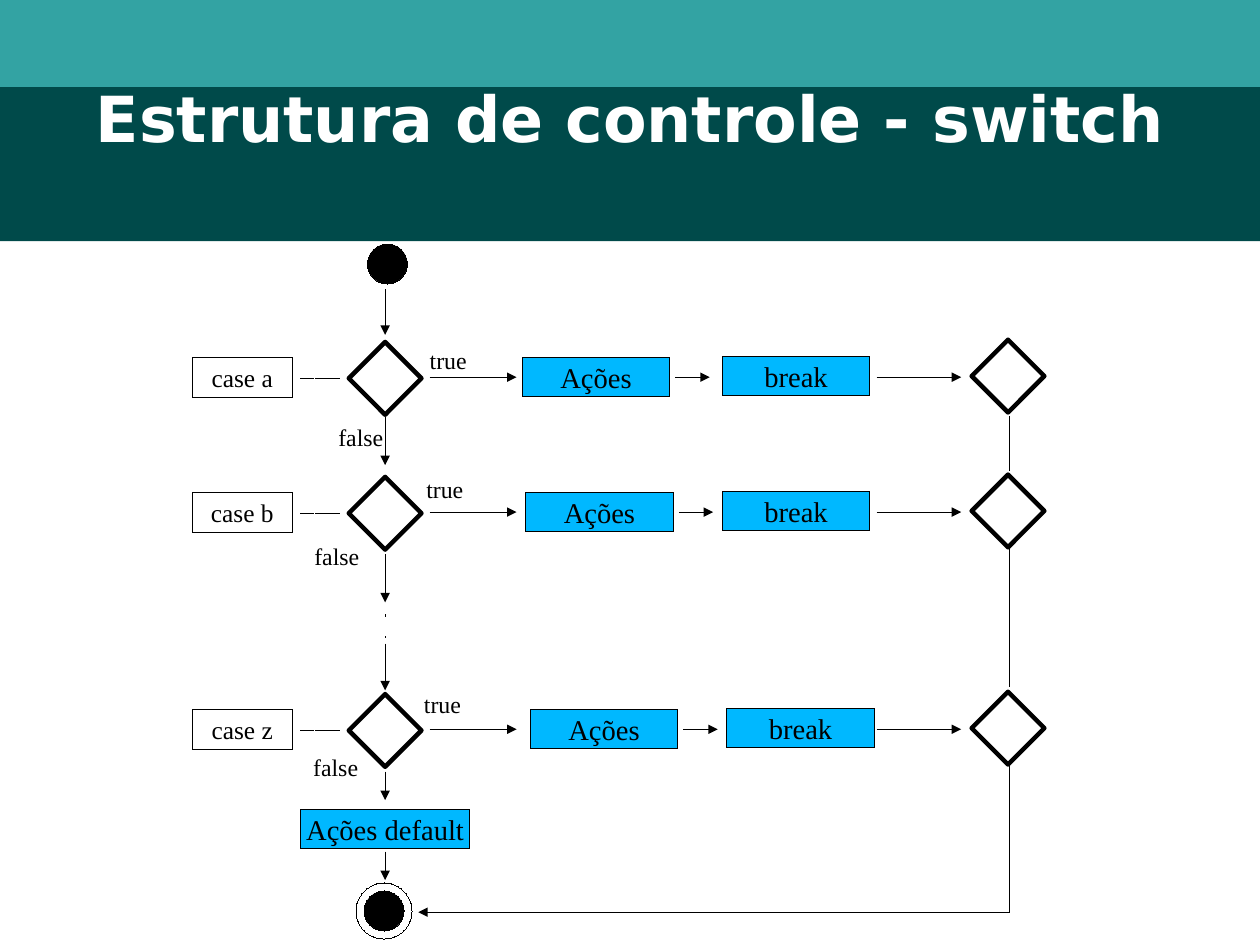
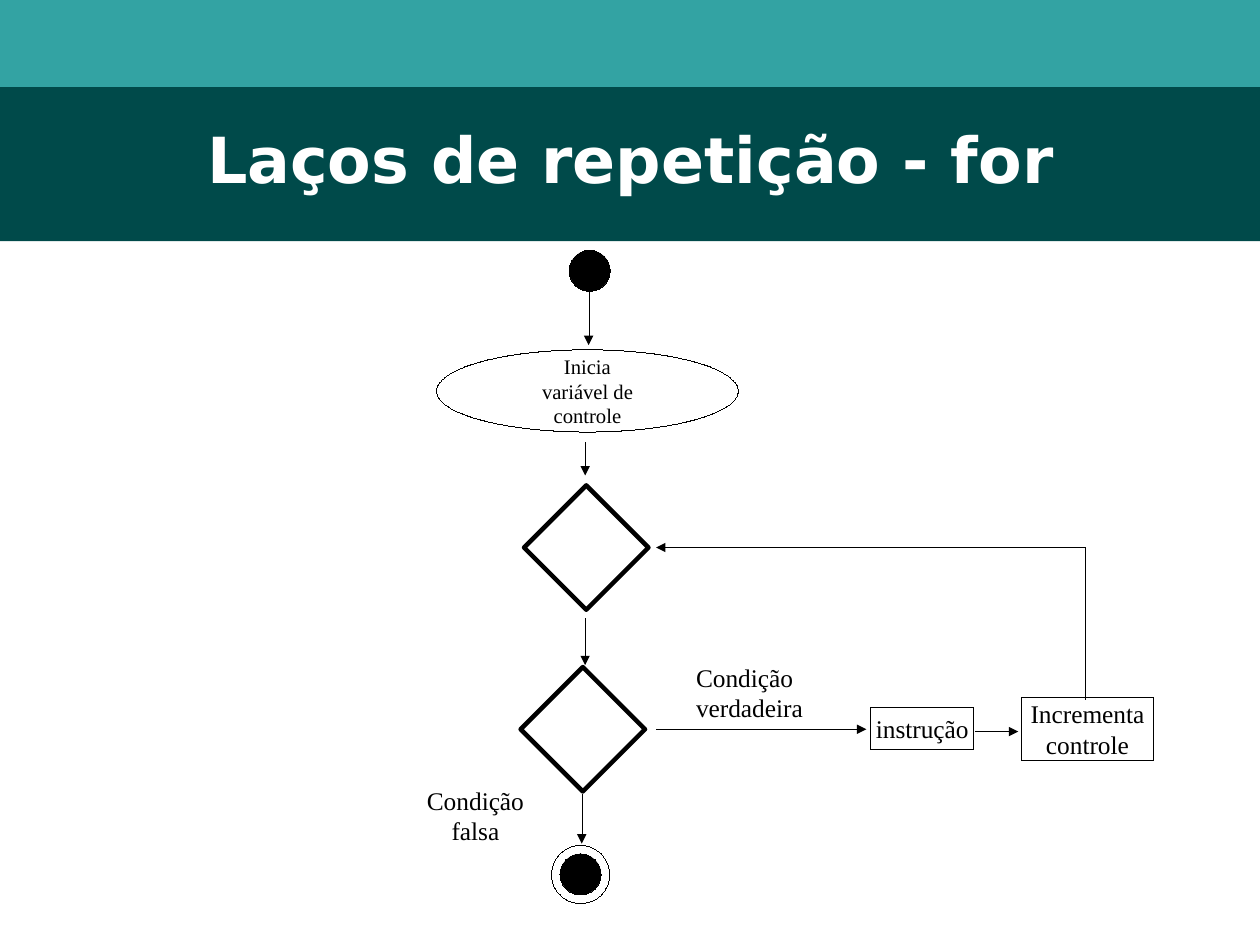
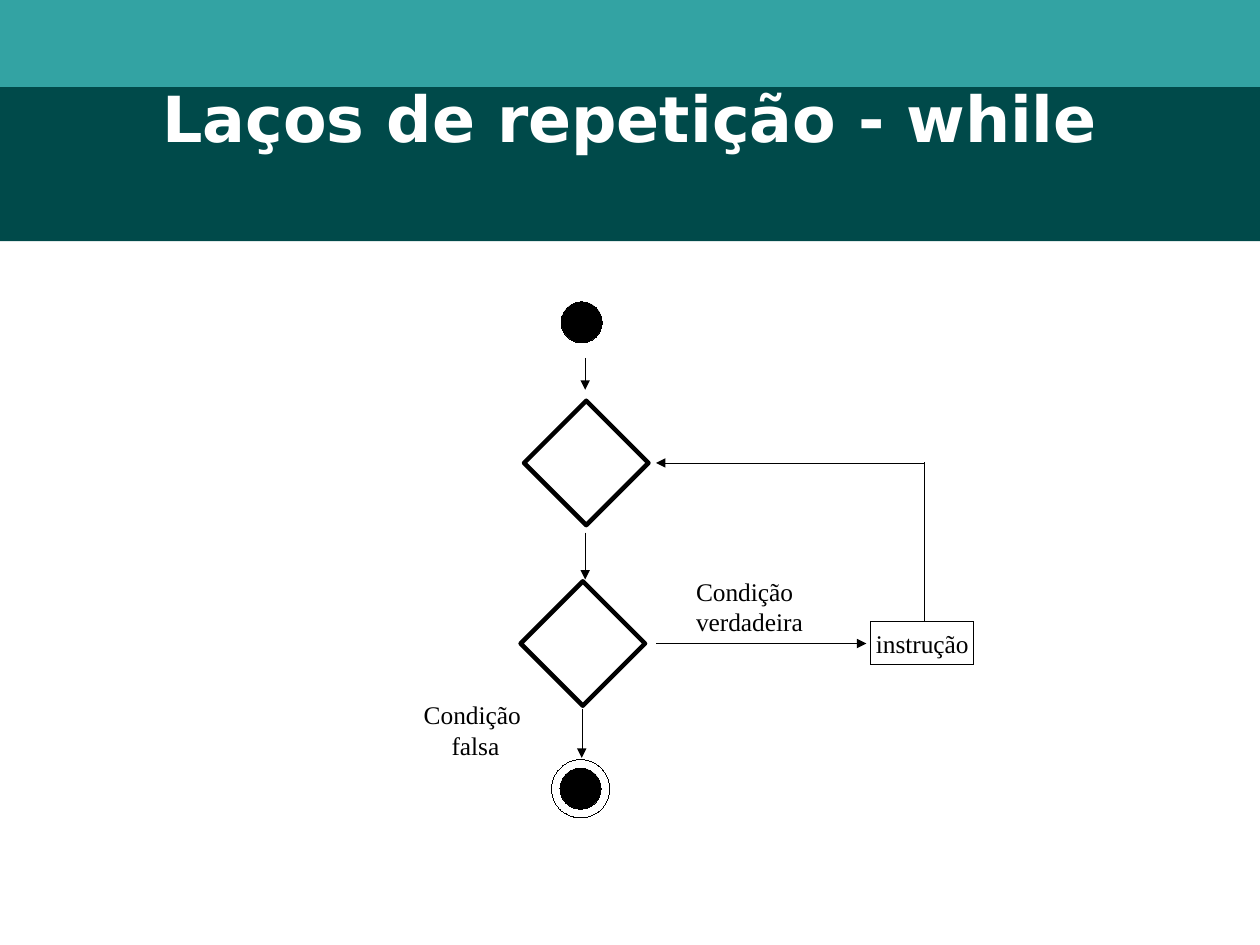
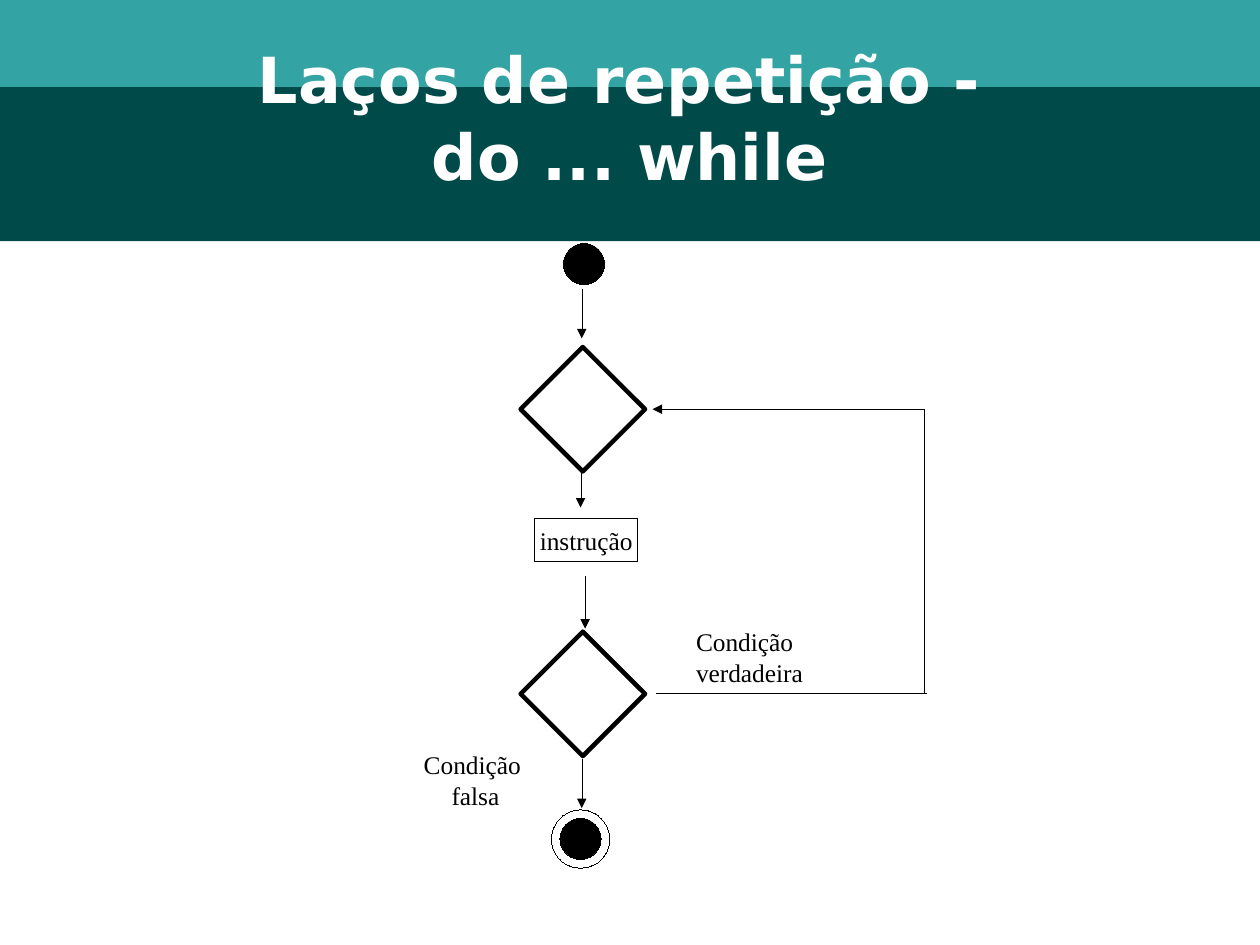
import pptx
import pptx.util
import pptx.dml.color
import pptx.enum.dml
import pptx.enum.shapes
import pptx.enum.text
import pptx.oxml.ns
import lxml.etree

WIDE, HIGH = pptx.util.Emu(10080625), pptx.util.Emu(7559675)
CELL = 0.1
HUES = {"deep": "004A4A", "teal": "33A3A3", "blue": "00B8FF", "ink": "000000", "paper": "FFFFFF"}
KIND = pptx.enum.shapes.MSO_SHAPE
ALIGN = pptx.enum.text.PP_ALIGN
ANCHOR = pptx.enum.text.MSO_ANCHOR
FRAME = {
    "margin_left": 0, "margin_right": 0, "margin_top": 0, "margin_bottom": 0,
    "word_wrap": True, "vertical_anchor": ANCHOR.MIDDLE,
    "auto_size": pptx.enum.text.MSO_AUTO_SIZE.NONE,
}
BODY = {"name": "Times New Roman", "size": pptx.util.Pt(16)}
HEAD = {"name": "DejaVu Sans", "size": pptx.util.Pt(40), "bold": True}
THICK, HAIR = pptx.util.Pt(2.83), pptx.util.Pt(0.01)
STEP = "instrução"


def cells(*nums):
    return [pptx.util.Inches(num * CELL) for num in nums]


def hue(name):
    return pptx.dml.color.RGBColor.from_string(HUES[name])


def put(item, vals):
    for key, val in vals.items():
        setattr(item, key, val)


def write(frame, text, font, tint="ink", align=ALIGN.CENTER, space=1.0, **extra):
    put(frame, {**FRAME, **extra})
    frame.text = text
    for para in frame.paragraphs:
        put(para, {"alignment": align, "line_spacing": space})
        for run in para.runs:
            put(run.font, font)
            run.font.color.rgb = hue(tint)


def shape(slide, kind, at, fill=None, line="ink", width=HAIR, text="", size=16):
    item = slide.shapes.add_shape(kind, *cells(*at))
    item.shadow.inherit = False
    if fill:
        item.fill.solid()
        item.fill.fore_color.rgb = hue(fill)
    else:
        item.fill.background()
    if line:
        item.line.color.rgb = hue(line)
        item.line.width = width
    else:
        item.line.fill.background()
    if text:
        write(item.text_frame, text, {**BODY, "size": pptx.util.Pt(size)})
    return item


def box(slide, at, text, fill=None, size=16):
    shape(slide, KIND.RECTANGLE, at, fill, text=text, size=size)


def label(slide, at, text, size=16, **extra):
    note = slide.shapes.add_textbox(*cells(*at))
    write(note.text_frame, text, {**BODY, "size": pptx.util.Pt(size)}, **extra)


def line(slide, x1, y1, x2, y2, tip=False, dash=False):
    link = slide.shapes.add_connector(
        pptx.enum.shapes.MSO_CONNECTOR.STRAIGHT, *cells(x1, y1, x2, y2))
    link.line.color.rgb = hue("ink")
    link.line.width = HAIR
    if dash:
        link.line.dash_style = pptx.enum.dml.MSO_LINE.SQUARE_DOT
    tag = pptx.oxml.ns.qn
    if tip:
        edge = link.element.spPr.find(tag("a:ln"))
        lxml.etree.SubElement(edge, tag("a:tailEnd"), type="triangle")
    lxml.etree.SubElement(link.element.spPr, tag("a:effectLst"))


def arrow(slide, *ends):
    line(slide, *ends, tip=True)


def gem(slide, x, y, side):
    item = shape(slide, KIND.RECTANGLE, (x - side / 2, y - side / 2, side, side),
                 "paper", width=THICK)
    item.rotation = 315


def disc(slide, x, y, size=3.6, fill="ink"):
    shape(slide, KIND.OVAL, (x - size / 2, y - size / 2, size, size), fill)


def finish(slide, x, y, ring=5.1, core=3.6):
    disc(slide, x, y, ring, None)
    disc(slide, x, y, core)


def start(deck, text, at):
    slide = deck.slides.add_slide(deck.slide_layouts[5])
    title = slide.shapes.title
    put(title, dict(zip(("left", "top", "width", "height"), cells(*at))))
    write(title.text_frame, text, HEAD, "paper", space=1.02)
    return slide


def bands(deck, slide):
    tree = deck.slide_layouts[5].shapes.element
    for spot, (top, high, fill) in enumerate([(7.3, 13.8, "deep"), (0, 7.6, "teal")], 2):
        band = shape(slide, KIND.RECTANGLE, (0, top, 1, high), fill, None)
        band.width = WIDE
        tree.insert(spot, band.element)


def case(slide, y, name, act, stop, yes, no):
    line(slide, 26.3, y + 0.1, 29.7, y + 0.1, dash=True)
    box(slide, (16.8, y - 1.7, 8.8, 3.5), name)
    gem(slide, 33.7, y + 0.1, 4.5)
    arrow(slide, 37.6, y, 45.2, y)
    box(slide, (act, y - 1.7, 12.9, 3.4), "Ações", "blue", 18)
    arrow(slide, act + 13.4, y, act + 16.4, y)
    box(slide, (stop, y - 1.8, 12.9, 3.4), "break", "blue", 18)
    arrow(slide, 76.7, y, 84.1, y)
    gem(slide, 88.2, y - 0.1, 4.5)
    for text, spot, wide in (("true", yes, 3.3), ("false", no, 3.9)):
        label(slide, (*spot, wide, 2.4), text, 15, align=ALIGN.LEFT, word_wrap=False)


def switch(slide):
    disc(slide, 33.9, 23.1, 3.5)
    for row in (
        (33, "case a", 45.7, 63.2, (37.6, 30.3), (29.6, 37)),
        (44.8, "case b", 46, 63.2, (37.3, 41.6), (27.5, 47.4)),
        (63.8, "case z", 46.4, 63.6, (37.1, 60.4), (27.4, 65.9)),
    ):
        case(slide, *row)
    for top, end in ((25.3, 29.3), (36.5, 40.7), (48.5, 52.7), (56.3, 60.4), (67.5, 70), (74.5, 77)):
        arrow(slide, 33.7, top, 33.7, end)
    for dot in (53.8, 55.7):
        line(slide, 33.7, dot, 33.7, dot + 0.1)
    for top, end in ((36.4, 41.2), (48, 60.1), (67.1, 79.8)):
        line(slide, 88.3, top, 88.3, end)
    box(slide, (26.3, 70.8, 14.8, 3.4), "Ações default", "blue", 18)
    arrow(slide, 88.3, 79.8, 36.6, 79.8)
    finish(slide, 33.6, 79.7, 4.9, 3.5)


def test(slide, y, no="Condição \nfalsa"):
    gem(slide, 51, y, 7.7)
    label(slide, (60.9, y - 5.9, 12, 5.3), "Condição\nverdadeira", align=ALIGN.LEFT)
    label(slide, (34.4, y + 4.9, 14.4, 5.3), no)
    arrow(slide, 50.9, y + 5.7, 50.9, y + 10)
    finish(slide, 50.8, y + 12.7)


def loop(slide, high, turn, foot, x=51.3):
    gem(slide, x, high, 7.7)
    line(slide, turn, high, turn, foot)
    arrow(slide, turn, high, x + 6.1, high)


def check(slide, y):
    arrow(slide, 51.2, y - 9.7, 51.2, y - 5.6)
    arrow(slide, 57.4, y, 75.8, y)
    box(slide, (76.2, y - 1.9, 9, 3.7), STEP)


def count(slide):
    low = 63.8
    arrow(slide, 51.5, 23.5, 51.5, 30.2)
    disc(slide, 51.6, 23.7)
    shape(slide, KIND.OVAL, (38.2, 30.6, 26.4, 7.2), text="Inicia\nvariável de\ncontrole", size=13)
    arrow(slide, 51.2, 38.7, 51.2, 41.6)
    loop(slide, 47.9, 95, 61.2)
    check(slide, low)
    arrow(slide, 85.3, 64, 89.1, 64)
    box(slide, (89.4, 61, 11.5, 5.5), "Incrementa\ncontrole")
    test(slide, low, "Condição\nfalsa")


def during(slide):
    low = 56.3
    disc(slide, 50.9, 28.2)
    arrow(slide, 51.2, 31.3, 51.2, 34.1)
    loop(slide, 40.5, 80.9, 54.4)
    check(slide, low)
    test(slide, low)


def after(slide):
    low = 60.7
    disc(slide, 51.1, 23.1)
    arrow(slide, 50.9, 25.3, 50.9, 29.6)
    loop(slide, 35.8, 80.9, low, 51)
    arrow(slide, 50.8, 41.3, 50.8, 44.4)
    box(slide, (46.8, 45.4, 9, 3.7), STEP)
    arrow(slide, 51.2, 50.4, 51.2, 55)
    line(slide, 57.4, low, 81.1, low)
    test(slide, low)


def main():
    deck = pptx.Presentation()
    put(deck, {"slide_width": WIDE, "slide_height": HIGH})
    wide = (5.5, 3.3, 99.2, 13.8)
    for draw, text, at in (
        (switch, "Estrutura de controle - switch", wide),
        (count, "Laços de repetição - for", (8.1, 6.9, 94.1, 13.8)),
        (during, "Laços de repetição - while", wide),
        (after, "Laços de repetição - \vdo ... while", (5.5, 2.6, 99.2, 15.1)),
    ):
        slide = start(deck, text, at)
        if draw is switch:
            bands(deck, slide)
        draw(slide)
    deck.save("out.pptx")


if __name__ == "__main__":
    main()
